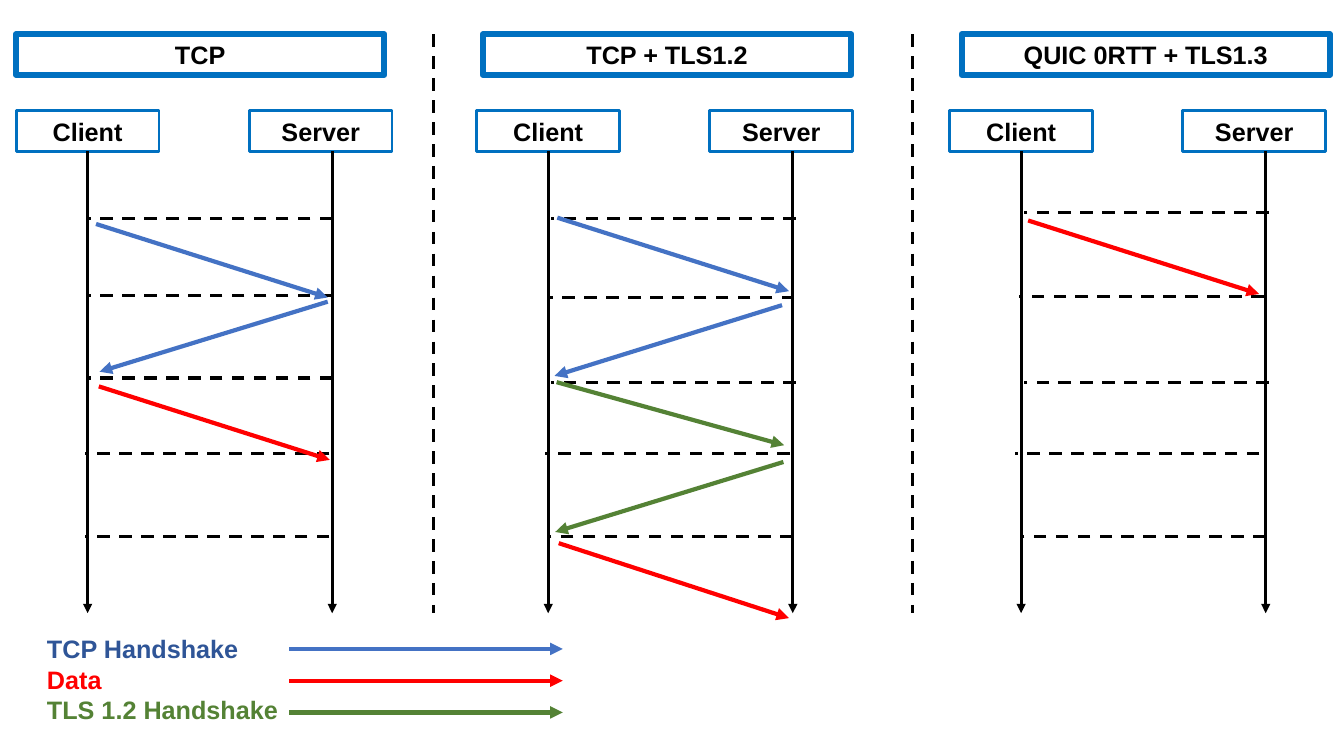
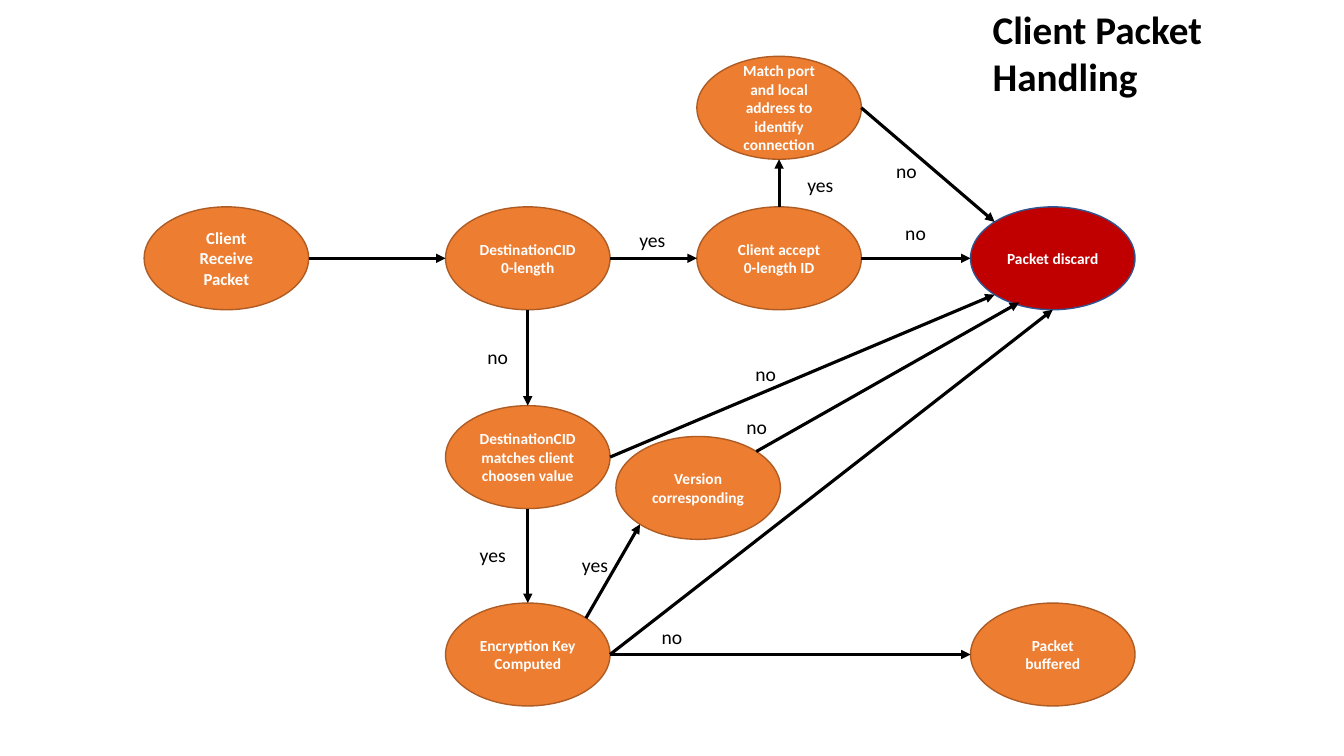
from math import cos, radians, sin

from pptx import Presentation
from pptx.dml.color import RGBColor
from pptx.enum.dml import MSO_LINE
from pptx.enum.shapes import MSO_CONNECTOR, MSO_SHAPE
from pptx.enum.text import MSO_ANCHOR, PP_ALIGN
from pptx.oxml.xmlchemy import OxmlElement
from pptx.util import Pt

RECT, OVAL = MSO_SHAPE.RECTANGLE, MSO_SHAPE.OVAL
STRAIGHT = MSO_CONNECTOR.STRAIGHT
DASH = MSO_LINE.DASH
LEFT, CENTER = PP_ALIGN.LEFT, PP_ALIGN.CENTER
TOP, MIDDLE = MSO_ANCHOR.TOP, MSO_ANCHOR.MIDDLE

COLORS = {
    "black": "000000",
    "white": "FFFFFF",
    "frame": "0070C0",
    "tcp": "4472C4",
    "tcp_text": "2F5597",
    "data": "FF0000",
    "tls": "548235",
    "step": "ED7D31",
    "step_line": "AF5C24",
    "discard": "C00000",
    "discard_line": "325491",
}

# Sequence diagram
BOX_W, BOX_H, BOX_Y = 102, 29, 79
SERVER_BOX_DX, SERVER_DX = 166.5, 174.7
TITLE_W, TITLE_Y = 263, 24.5
LIFE_END = 438

# Flow chart: ellipse size and its sites, numbered counterclockwise from the top
NODE_W, NODE_H = 117.5, 73.5
N, NW, W, SW, S, E, NE = 0, 1, 2, 3, 4, 6, 7


def rgb(name):
    return RGBColor.from_string(COLORS[name])


class Deck:
    """The presentation, its style and the slide being filled."""

    def __init__(self):
        self.prs = Presentation()
        self.prs.slide_width, self.prs.slide_height = Pt(960), Pt(540)
        self.s = None
        self.font = None

    def slide(self, font):
        self.s = self.prs.slides.add_slide(self.prs.slide_layouts[6])
        self.font = font

    def fill_text(self, tf, lines, size, bold, align, anchor):
        """Fill a text frame with one paragraph per (text, color) line."""
        tf.vertical_anchor = anchor
        for i, (text, color) in enumerate(lines):
            p = tf.add_paragraph() if i else tf.paragraphs[0]
            p.alignment = align
            r = p.add_run()
            r.text = text
            r.font.name, r.font.size, r.font.bold = self.font, Pt(size), bold
            r.font.color.rgb = rgb(color)

    def shape(self, kind, x, y, w, h, line, line_w, fill=None):
        sp = self.s.shapes.add_shape(kind, Pt(x), Pt(y), Pt(w), Pt(h))
        sp.shadow.inherit = False
        if fill:
            sp.fill.solid()
            sp.fill.fore_color.rgb = rgb(fill)
        else:
            sp.fill.background()
        sp.line.color.rgb = rgb(line)
        sp.line.width = Pt(line_w)
        return sp

    def frame(self, text, x, y, w, line_w):
        """Outlined rectangle with a bold centred caption."""
        sp = self.shape(RECT, x, y, w, BOX_H, "frame", line_w)
        self.fill_text(sp.text_frame, [(text, "black")], 18, True, CENTER, MIDDLE)
        return sp

    def node(self, lines, cx, cy, size=11, fill="step"):
        """Ellipse placed by its centre."""
        sp = self.shape(OVAL, cx - NODE_W / 2, cy - NODE_H / 2, NODE_W, NODE_H,
                        fill + "_line", 1, fill)
        self.fill_text(sp.text_frame, [(t, "white") for t in lines],
                       size, True, CENTER, MIDDLE)
        return sp

    def text(self, lines, x, y, w, h, size, bold=True, align=LEFT, wrap=True):
        tf = self.s.shapes.add_textbox(Pt(x), Pt(y), Pt(w), Pt(h)).text_frame
        tf.word_wrap = wrap
        self.fill_text(tf, lines, size, bold, align, TOP)

    def label(self, text, cx, y):
        self.text([(text, "black")], cx - 16.5, y, 33, 24.5, 14,
                  bold=False, align=CENTER, wrap=False)

    def line(self, x1, y1, x2, y2, color="black", width=2.25, dash=None, arrow=False):
        cx = self.s.shapes.add_connector(STRAIGHT, Pt(x1), Pt(y1), Pt(x2), Pt(y2))
        cx.line.color.rgb = rgb(color)
        cx.line.width = Pt(width)
        if dash:
            cx.line.dash_style = dash
        if arrow:
            tail = OxmlElement("a:tailEnd")
            tail.set("type", "triangle")
            cx.element.xpath("./p:spPr/a:ln")[0].append(tail)
        cx.element.spPr.append(OxmlElement("a:effectLst"))
        return cx

    def arrow(self, x1, y1, x2, y2, color="black", width=2.25):
        return self.line(x1, y1, x2, y2, color, width, arrow=True)

    def link(self, start, start_site, end, end_site):
        """Arrow joined to the sites of two ellipses."""
        cx = self.arrow(*site_point(start, start_site), *site_point(end, end_site))
        props = cx.element.xpath(".//p:cNvCxnSpPr")[0]
        for tag, sp, site in (("a:stCxn", start, start_site), ("a:endCxn", end, end_site)):
            join = OxmlElement(tag)
            join.set("id", str(sp.shape_id))
            join.set("idx", str(site))
            props.append(join)


def site_point(sp, site):
    """Position in points of a numbered site on an ellipse."""
    a = radians(45 * site)
    x = sp.left.pt + sp.width.pt * (1 - sin(a)) / 2
    y = sp.top.pt + sp.height.pt * (1 - cos(a)) / 2
    return x, y


# title, title left, client lifeline, time marks (y, shift),
# messages (color, from x, y, to x, y), x counted from the client lifeline
PANELS = [
    ("TCP", 11.5, 62.6,
     [(156, 0), (211, 0), (270, 0), (324, -2), (383, -2)],
     [("tcp", 6, 160, 171.5, 212.5),
      ("tcp", 171.5, 215.5, 8.5, 265.5),
      ("data", 8, 276, 173, 328.5)]),
    ("TCP + TLS1.2", 345, 391.6,
     [(156, 2), (212.5, 1), (273, 2), (324, -2), (383, 0)],
     [("tcp", 6.5, 155.5, 172, 208),
      ("tcp", 167, 218, 4.5, 268.5),
      ("tls", 6, 273, 168.5, 318),
      ("tls", 168, 330, 5, 380),
      ("data", 7.5, 388, 172, 441.5)]),
    ("QUIC 0RTT + TLS1.3", 687, 729.4,
     [(152, 2), (211.5, -1.5), (273, 2), (324, -4.5), (383, 0)],
     [("data", 5, 157.5, 170, 210)]),
]

LEGEND = [("TCP Handshake", "tcp_text", "tcp"),
          ("Data", "data", "data"),
          ("TLS 1.2 Handshake", "tls", "tls")]


def handshakes(d):
    d.slide("Arial")
    for title, title_x, client_x, marks, messages in PANELS:
        d.frame(title, title_x, TITLE_Y, TITLE_W, 4.5)
        box_x = client_x - BOX_W / 2
        client = d.frame("Client", box_x, BOX_Y, BOX_W, 2)
        d.frame("Server", box_x + SERVER_BOX_DX, BOX_Y, BOX_W, 2)
        life = d.arrow(client_x, BOX_Y + BOX_H, client_x, LIFE_END)
        life.begin_connect(client, 2)
        server_x = client_x + SERVER_DX
        d.arrow(server_x, BOX_Y + BOX_H, server_x, LIFE_END)
        for y, shift in marks:
            d.line(server_x + shift, y, client_x + shift, y, dash=DASH)
        for color, x1, y1, x2, y2 in messages:
            d.arrow(client_x + x1, y1, client_x + x2, y2, color, 3)
    for x in (309.6, 651.6):
        d.line(x, TITLE_Y, x, LIFE_END, dash=DASH)

    d.text([(text, color) for text, color, _ in LEGEND], 26.5, 449, 390, 73, 18)
    for i, (_, _, color) in enumerate(LEGEND):
        y = 463.5 + 22.7 * i
        d.arrow(206.5, y, 402, y, color, 3)


def packet_handling(d):
    d.slide("Calibri")
    d.text([("Client Packet Handling", "black")], 702, 0.5, 258, 75, 28)

    main_x, accept_x, end_x = 377, 556.5, 752
    main_y, last_y = 184.5, 467.5
    receive = d.node(["Client Receive Packet"], 161.7, main_y, size=12)
    dest = d.node(["DestinationCID 0-length"], main_x, main_y)
    accept = d.node(["Client accept 0-length ID"], accept_x, main_y)
    discard = d.node(["Packet discard"], end_x, main_y, fill="discard")
    port = d.node(["Match port and local address to identify connection"], accept_x, 77)
    chosen = d.node(["DestinationCID matches client choosen value"], main_x, 326.5)
    key = d.node(["Encryption Key", "Computed"], main_x, last_y)
    version = d.node(["Version corresponding"], 498.7, 348.5)
    buffered = d.node(["Packet buffered"], end_x, last_y)

    for link in [(receive, E, dest, W), (dest, E, accept, W), (accept, E, discard, W),
                 (accept, N, port, S), (port, E, discard, NW), (dest, S, chosen, N),
                 (chosen, E, discard, SW), (chosen, S, key, N), (key, NE, version, SW),
                 (key, E, discard, S), (key, E, buffered, W)]:
        d.link(*link)
    d.arrow(*site_point(version, NE), 728, 216)

    for text, places in {
        "yes": [(466, 159), (586, 120), (352, 384.5), (425, 391.5)],
        "no": [(355.5, 242.5), (654, 154), (547, 255), (647.5, 110),
               (480, 443), (540.5, 292.5)],
    }.items():
        for cx, y in places:
            d.label(text, cx, y)


def main():
    d = Deck()
    handshakes(d)
    packet_handling(d)
    d.prs.save("out.pptx")


if __name__ == "__main__":
    main()
